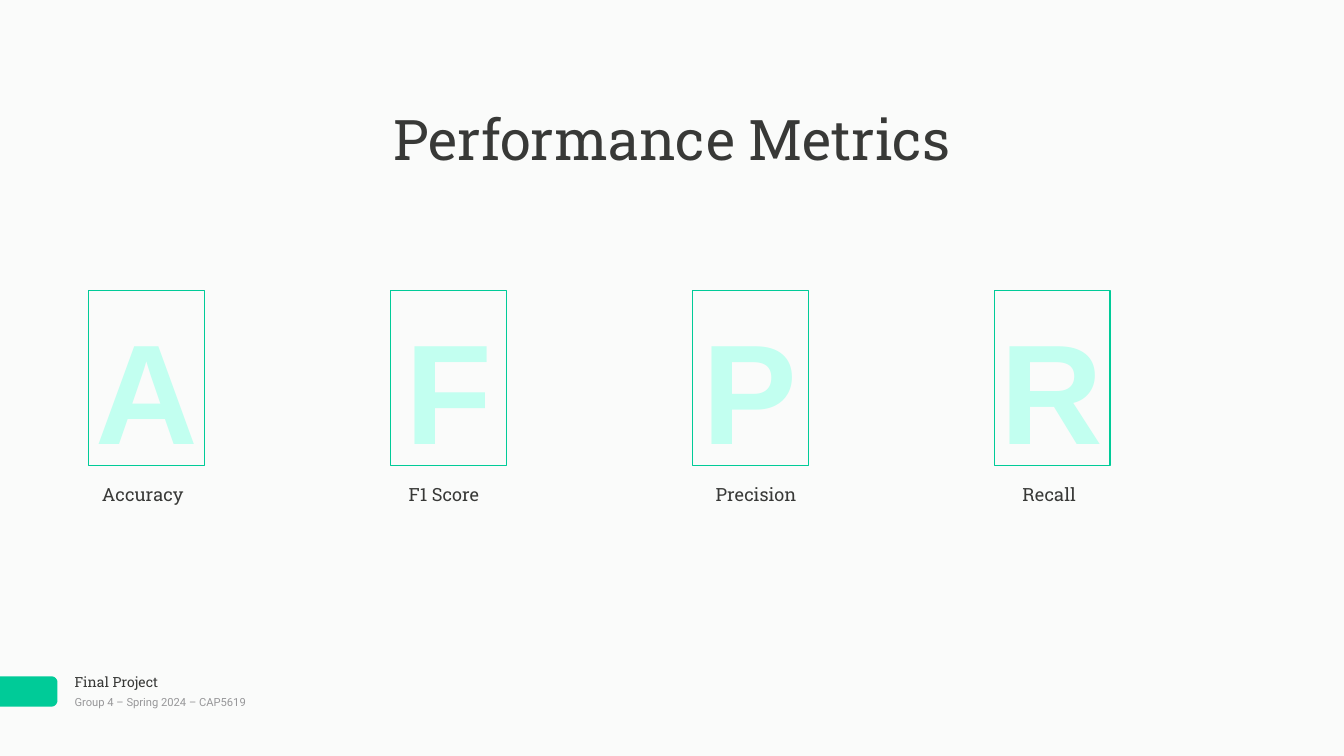
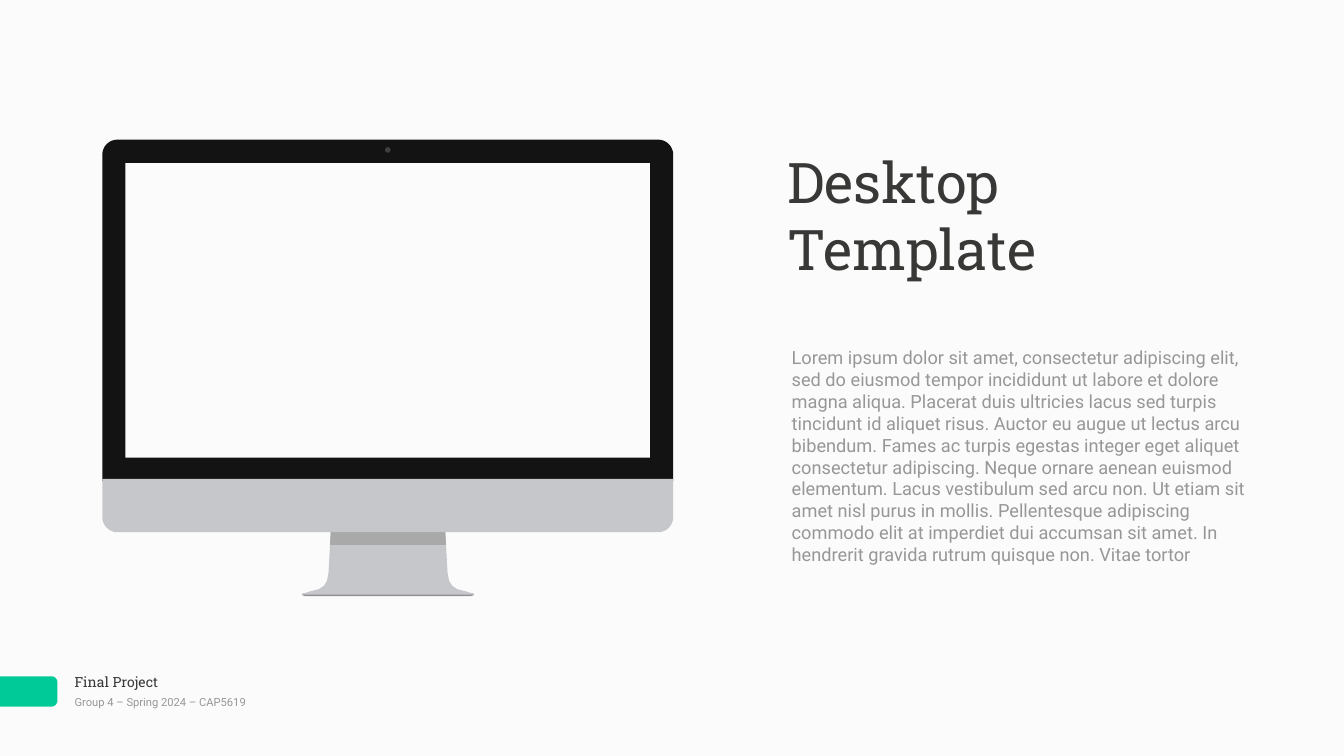
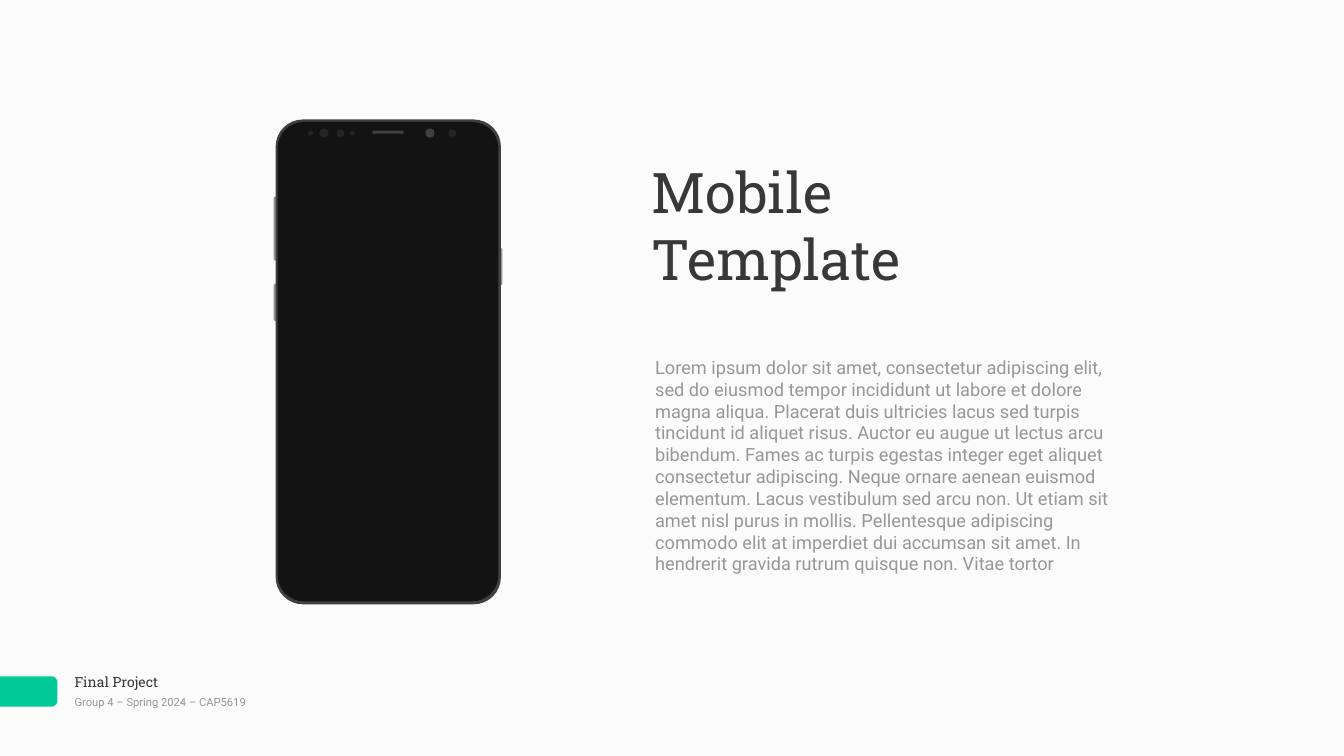
from math import cos, pi, sin

from lxml.etree import SubElement
from pptx import Presentation
from pptx.dml.color import RGBColor
from pptx.enum.shapes import MSO_SHAPE
from pptx.enum.text import MSO_ANCHOR, MSO_AUTO_SIZE, PP_ALIGN
from pptx.oxml.ns import qn
from pptx.util import Pt

PX = 9144  # EMU per px, 100 px to the inch
SLAB, SANS, LETTER = "Roboto Slab", "Roboto", "Arial"
PAPER, INK, GREY = "FAFBFA", "383937", "979799"
GREEN, MINT = "00CB98", "C2FFF0"
BLACK, CHARCOAL, DIM = "131313", "414041", "252425"
SILVER, SHADE, STEEL = "C6C7CA", "A9A9A9", "919191"
TITLE_ONLY, TITLE_AND_BODY = 5, 1
LOREM = (
    "Lorem ipsum dolor sit amet, consectetur adipiscing elit, sed do eiusmod "
    "tempor incididunt ut labore et dolore magna aliqua. Placerat duis ultricies "
    "lacus sed turpis tincidunt id aliquet risus. Auctor eu augue ut lectus arcu "
    "bibendum. Fames ac turpis egestas integer eget aliquet consectetur adipiscing. "
    "Neque ornare aenean euismod elementum. Lacus vestibulum sed arcu non. Ut etiam "
    "sit amet nisl purus in mollis. Pellentesque adipiscing commodo elit at imperdiet "
    "dui accumsan sit amet. In hendrerit gravida rutrum quisque non. Vitae tortor"
)


def colour(code):
    return RGBColor.from_string(code)


def emu(*lengths):
    return [round(length * PX) for length in lengths]


# Text
def write(shape, text, size, font, code, align=PP_ALIGN.LEFT,
          anchor=MSO_ANCHOR.TOP, fit=MSO_AUTO_SIZE.SHAPE_TO_FIT_TEXT):
    frame = shape.text_frame
    frame.word_wrap = True
    frame.auto_size = fit
    frame.vertical_anchor = anchor
    frame.margin_left = frame.margin_right = 6 * PX
    frame.margin_top = frame.margin_bottom = 6 * PX
    para = frame.paragraphs[0]
    para.text = text
    para.alignment = align
    para.font.size = Pt(size)
    para.font.name = font
    para.font.color.rgb = colour(code)
    return para


def add_text(page, box, *style, **options):
    shape = page.shapes.add_textbox(*emu(*box))
    write(shape, *style, **options)
    return shape


def place(shape, box):
    shape.left, shape.top, shape.width, shape.height = emu(*box)


def set_title(page, box, text, align=PP_ALIGN.LEFT):
    place(page.shapes.title, box)
    write(page.shapes.title, text, 80, SLAB, INK, align)


def set_body(page, box, text):
    body = page.placeholders[1]
    place(body, box)
    props = body.text_frame.paragraphs[0]._p.get_or_add_pPr()
    props.set("marL", "0")
    props.set("indent", "0")
    SubElement(props, qn("a:buNone"))
    write(body, text, 26, SANS, GREY).space_before = Pt(0)


# Shapes
def paint(shape, code):
    shape.shadow.inherit = False
    shape.fill.solid()
    shape.fill.fore_color.rgb = colour(code)
    shape.line.fill.background()
    return shape


def outline(shapes, left, top, code, *contours):
    """Fill closed contours, given as px points relative to left and top."""
    rings = [[emu(left + x, top + y) for x, y in ring] for ring in contours]
    builder = shapes.build_freeform(*rings[0][0], scale=1.0)
    for number, ring in enumerate(rings):
        if number:
            builder.move_to(*ring[0])
        builder.add_line_segments(ring[1:], close=True)
    return paint(builder.convert_to_shape(), code)


def rounded(x, y, width, height, *radii):
    """Points of a rectangle with radii from top left, clockwise."""
    points = []
    corners = ((x, y, 1, 1), (x + width, y, -1, 1),
               (x + width, y + height, -1, -1), (x, y + height, 1, -1))
    for turn, ((cx, cy, dx, dy), radius) in enumerate(zip(corners, radii)):
        steps = 8 if radius else 0
        for step in range(steps + 1):
            angle = pi + turn * pi / 2 + (step / steps * pi / 2 if steps else 0)
            points.append((cx + dx * radius + radius * cos(angle),
                           cy + dy * radius + radius * sin(angle)))
    return points


def dot(shapes, left, top, size, code):
    paint(shapes.add_shape(MSO_SHAPE.OVAL, *emu(left, top, size, size)), code)


# Master: background and footer, shown on every slide
def furnish_master(master, page, left, top):
    master.background.fill.solid()
    master.background.fill.fore_color.rgb = colour(PAPER)
    parts = [
        add_text(page, (left, top, 319, 45), "Final Project", 20, SLAB, INK),
        add_text(page, (left, top + 43, 472, 38), "Group 4 – Spring 2024 – CAP5619",
                 16, SANS, GREY, anchor=MSO_ANCHOR.MIDDLE),
        outline(page.shapes, left - 152, top + 12, GREEN,
                rounded(0, 0, 124, 60, 0, 12, 12, 0)),
    ]
    for number, part in enumerate(parts, 101):
        part.element.xpath(".//p:cNvPr")[0].set("id", str(number))
        master.shapes.element.append(part.element)


# Metrics slide
def metric_card(page, box, letter):
    card = paint(page.shapes.add_shape(MSO_SHAPE.RECTANGLE, *emu(*box)), PAPER)
    card.line.color.rgb = colour(GREEN)
    card.line.width = Pt(2)
    para = write(card, letter, 203, LETTER, MINT, PP_ALIGN.CENTER,
                 MSO_ANCHOR.MIDDLE, MSO_AUTO_SIZE.NONE)
    para.font.bold = True
    frame = card.text_frame
    frame.margin_left = frame.margin_right = frame.margin_bottom = 0
    frame.margin_top = 36 * PX


def metrics_slide(page):
    set_title(page, (735, 202, 1197, 146), "Performance Metrics", PP_ALIGN.CENTER)
    for column, name in enumerate(("Accuracy", "F1 Score", "Precision", "Recall")):
        add_text(page, (196 + 609 * column, 953, 451, 55), name, 26, SLAB, INK)
        metric_card(page, (176 + 599 * column, 577, 230, 347), name[0])


# Device slides
def desktop(page, left, top):
    shapes = page.shapes.add_group_shape().shapes

    def part(code, *contours):
        outline(shapes, left, top, code, *contours)

    def mirrored(points):
        return points + [(1134 - x, y) for x, y in reversed(points)]

    # Stand
    part(STEEL, mirrored([(402, 906), (396, 903), (398, 901)]))
    part(SILVER, mirrored([(396, 903), (397, 901), (414, 896), (430, 892), (440, 885),
                           (446, 875), (449, 858), (454, 764)]))
    part(SHADE, mirrored([(452, 804), (454, 764)]))
    # Bezel with screen opening, camera and chin
    part(BLACK, rounded(0, 0, 1133, 678, 30, 30, 0, 0),
         rounded(46, 46, 1041, 585, 0, 0, 0, 0))
    dot(shapes, left + 561, top + 15, 11, CHARCOAL)
    part(SILVER, rounded(0, 673, 1133, 106, 0, 0, 30, 30))


def phone(page, left, top):
    shapes = page.shapes.add_group_shape().shapes

    def part(code, *box_and_radii):
        outline(shapes, left, top, code, rounded(*box_and_radii))

    # Side buttons
    for y, height in ((153, 127), (326, 74)):
        part(STEEL, 0, y, 14, height, 4, 0, 0, 4)
    part(STEEL, 440, 255, 14, 74, 0, 4, 4, 0)
    # Frame and screen
    part(CHARCOAL, 4, 0, 447, 962, *[54] * 4)
    part(BLACK, 8, 5, 438, 951, *[52] * 4)
    # Sensors, centred on one line, and speaker
    for x, size, code in ((347, 15, DIM), (301, 18, CHARCOAL), (91, 18, DIM),
                          (125, 15, DIM), (68, 10, DIM), (152, 10, DIM)):
        dot(shapes, left + x, top + 27 - size / 2, size, code)
    part(CHARCOAL, 196, 22, 62, 6, *[3] * 4)


def device_slide(page, title, left, top, title_width, body_left):
    set_title(page, (left, top, title_width, 280), title)
    set_body(page, (body_left, top + 395, 932, 449), LOREM)


def main():
    deck = Presentation()
    deck.slide_width, deck.slide_height = emu(2667, 1500)
    layouts = deck.slide_layouts

    metrics = deck.slides.add_slide(layouts[TITLE_ONLY])
    furnish_master(deck.slide_master, metrics, 142, 1330)
    metrics_slide(metrics)

    page = deck.slides.add_slide(layouts[TITLE_AND_BODY])
    device_slide(page, "Desktop Template", 1557, 287, 897, 1565)
    desktop(page, 203, 277)

    page = deck.slides.add_slide(layouts[TITLE_AND_BODY])
    device_slide(page, "Mobile Template", 1287, 306, 787, 1294)
    phone(page, 543, 237)

    deck.save("out.pptx")


if __name__ == "__main__":
    main()
